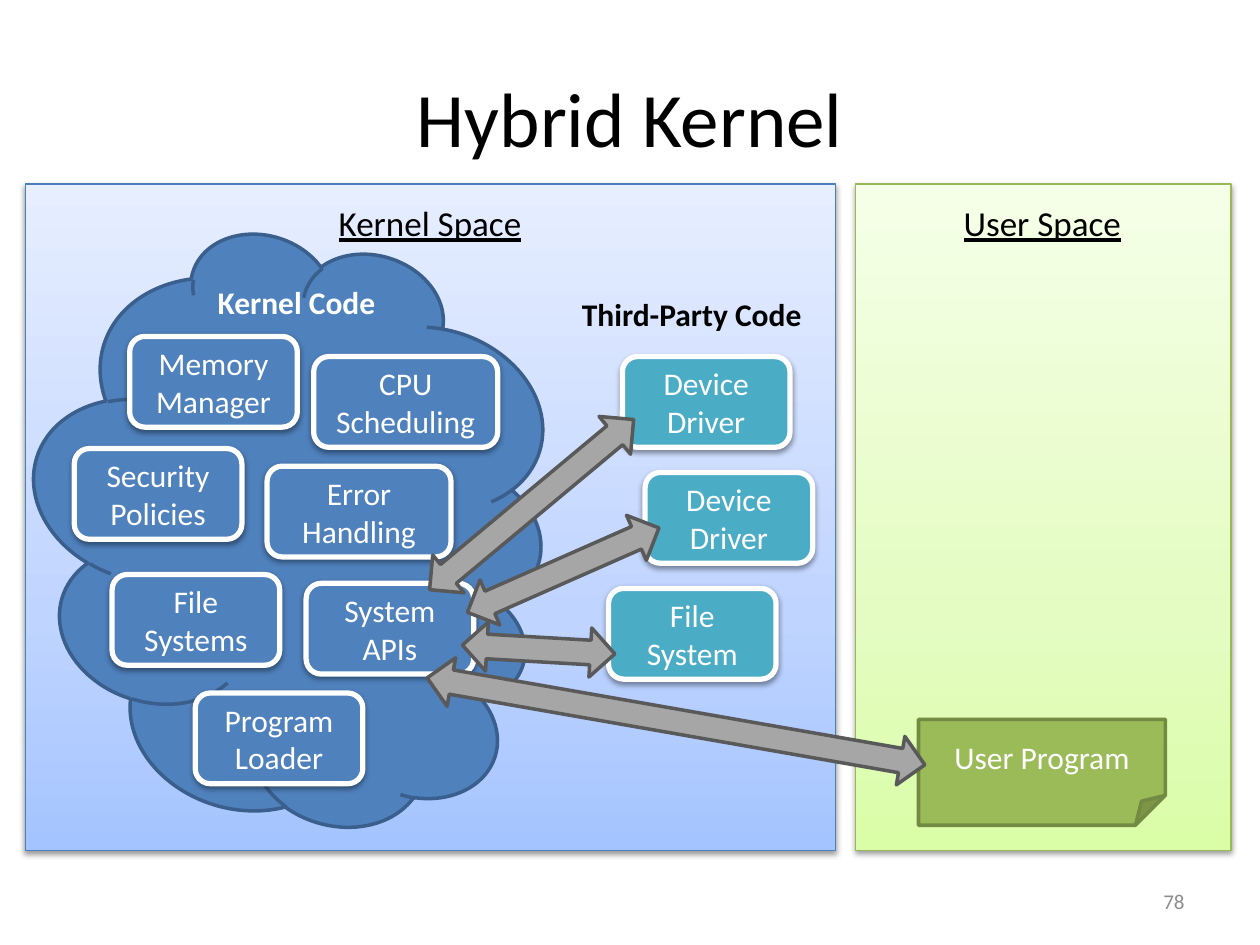
from copy import deepcopy
from dataclasses import dataclass
from math import atan2, degrees, hypot

from lxml import etree
from pptx import Presentation
from pptx.dml.color import RGBColor
from pptx.enum.shapes import MSO_SHAPE
from pptx.enum.text import MSO_ANCHOR, PP_ALIGN
from pptx.oxml.ns import qn
from pptx.util import Inches, Pt

RECT, ROUND = MSO_SHAPE.RECTANGLE, MSO_SHAPE.ROUNDED_RECTANGLE
CLOUD, FOLD = MSO_SHAPE.CLOUD, MSO_SHAPE.FOLDED_CORNER
ARROW = MSO_SHAPE.LEFT_RIGHT_ARROW
TOP, MID = MSO_ANCHOR.TOP, MSO_ANCHOR.MIDDLE
LEFT, CENTER, RIGHT = PP_ALIGN.LEFT, PP_ALIGN.CENTER, PP_ALIGN.RIGHT

FONT = "Calibri"
COLORS = {
    "black": "000000", "white": "FFFFFF", "number": "8C8C8C",
    "kernel": "4F81BD", "cloud_edge": "3A5F8C", "third": "4BACC6",
    "user": "9BBB59", "user_edge": "738A42",
    "arrow": "A6A6A6", "arrow_edge": "595959",
    "blue_edge": "4B7EBC", "green_edge": "98B955",
    "blue_low": "A4C4FF", "blue_mid": "BFD4FF", "blue_high": "E6EEFF",
    "green_low": "DAFDA7", "green_mid": "E4FCC2", "green_high": "F5FFE7",
}

# The slide is a grid of 10 columns by 7.5 rows
prs = Presentation()
prs.slide_width, prs.slide_height = Inches(10), Inches(7.5)
COL, ROW = prs.slide_width / 10, prs.slide_height / 7.5
slide = prs.slides.add_slide(prs.slide_layouts[6])

PANEL_TOP, PANEL_ROWS = 1.46, 5.29
BOX_ROWS, ARROW_ROWS = 0.72, 0.39
SLIM, WIDE = 1.33, 1.46


@dataclass
class Area:
    col: float
    row: float
    cols: float
    rows: float

    def place(self) -> tuple[int, int, int, int]:
        return (round(self.col * COL), round(self.row * ROW),
                round(self.cols * COL), round(self.rows * ROW))


@dataclass
class Box:
    text: str
    col: float
    row: float
    cols: float
    fill: str


@dataclass
class Label:
    text: str
    area: Area
    size: int
    color: str = "black"
    align: PP_ALIGN = LEFT
    bold: bool = False
    under: bool = False


@dataclass
class Link:
    col: float
    row: float
    to_col: float
    to_row: float


def paint(name: str) -> RGBColor:
    return RGBColor.from_string(COLORS[name])


def write(shape, label: Label) -> None:
    frame = shape.text_frame
    frame.word_wrap = label.align != LEFT
    frame.vertical_anchor = TOP if label.align == LEFT else MID
    para = frame.paragraphs[0]
    para.text, para.alignment = label.text, label.align
    font = para.font
    font.name, font.size = FONT, Pt(label.size)
    font.bold, font.underline = label.bold, label.under
    font.color.rgb = paint(label.color)


def draw_shape(kind: MSO_SHAPE, area: Area, fill: str, edge: str, width: float):
    shape = slide.shapes.add_shape(kind, *area.place())
    shape.shadow.inherit = False
    shape.fill.solid()
    shape.fill.fore_color.rgb = paint(fill)
    shape.line.color.rgb = paint(edge)
    shape.line.width = Pt(width)
    return shape


def add_shadow(shape) -> None:
    effects = shape._element.spPr.find(qn("a:effectLst"))
    outer = etree.SubElement(effects, qn("a:outerShdw"), blurRad="40000",
                             dist="20000", dir="5400000", rotWithShape="0")
    color = etree.SubElement(outer, qn("a:srgbClr"), val=COLORS["black"])
    etree.SubElement(color, qn("a:alpha"), val="38000")


def draw_panel(col: float, cols: float, hue: str) -> None:
    area = Area(col, PANEL_TOP, cols, PANEL_ROWS)
    shape = draw_shape(RECT, area, f"{hue}_low", f"{hue}_edge", 0.75)
    add_shadow(shape)
    shape.fill.gradient()
    shape.fill.gradient_angle = 90
    stops = shape._element.spPr.find(qn("a:gradFill")).find(qn("a:gsLst"))
    stops.insert(1, deepcopy(stops[0]))
    tones = zip(shape.fill.gradient_stops, ("low", "mid", "high"), (0, 0.35, 1))
    for stop, tone, place in tones:
        stop.color.rgb = paint(f"{hue}_{tone}")
        stop.position = place


def draw_box(box: Box) -> None:
    area = Area(box.col, box.row, box.cols, BOX_ROWS)
    shape = draw_shape(ROUND, area, box.fill, "white", 3)
    add_shadow(shape)
    write(shape, Label(box.text, area, 18, "white", CENTER))


def draw_link(link: Link) -> None:
    run, rise = link.to_col - link.col, link.to_row - link.row
    span = hypot(run, rise)
    area = Area((link.col + link.to_col - span) / 2,
                (link.row + link.to_row - ARROW_ROWS) / 2, span, ARROW_ROWS)
    shape = draw_shape(ARROW, area, "arrow", "arrow_edge", 2)
    shape.rotation = degrees(atan2(rise, run))


BOXES = [
    Box("Memory Manager", 1.03, 2.67, SLIM, "kernel"),
    Box("CPU Scheduling", 2.49, 2.83, WIDE, "kernel"),
    Box("Program Loader", 1.55, 5.5, SLIM, "kernel"),
    Box("Security Policies", 0.59, 3.56, SLIM, "kernel"),
    Box("Error Handling", 2.12, 3.7, WIDE, "kernel"),
    Box("System APIs", 2.43, 4.63, SLIM, "kernel"),
    Box("File Systems", 0.89, 4.56, SLIM, "kernel"),
    Box("Device Driver", 4.94, 2.83, SLIM, "third"),
    Box("Device Driver", 5.12, 3.75, SLIM, "third"),
    Box("File System", 4.83, 4.67, SLIM, "third"),
]
LABELS = [
    Label("Hybrid Kernel", Area(0.5, 0.3, 9, 1.25), 44, align=CENTER),
    Label("78", Area(7.17, 6.95, 2.33, 0.4), 12, "number", RIGHT),
    Label("User Space", Area(7.55, 1.55, 1.47, 0.44), 20, under=True),
    Label("Kernel Space", Area(2.59, 1.55, 1.67, 0.44), 20, under=True),
    Label("Kernel Code", Area(1.63, 2.2, 1.46, 0.4), 18, "white", bold=True),
    Label("Third-Party Code", Area(4.52, 2.29, 1.96, 0.4), 18, bold=True),
]
LINKS = [Link(3.67, 5.12, 4.88, 5.19), Link(3.71, 4.86, 5.23, 4.19),
         Link(3.41, 4.68, 5.03, 3.33), Link(3.39, 5.38, 7.34, 6.07)]

# Memory spaces and the kernel cloud
draw_panel(6.79, 2.98, "green")
draw_panel(0.2, 6.43, "blue")
cloud = draw_shape(CLOUD, Area(0.04, 2.11, 4.55, 4.17), "kernel", "cloud_edge", 2)
cloud.rotation = 106.9

# Kernel parts, third-party parts and labels
for box in BOXES:
    draw_box(box)
for label in LABELS:
    write(slide.shapes.add_textbox(*label.area.place()), label)

# User program, with a larger fold than the preset
area = Area(7.29, 5.71, 1.96, 0.84)
user = draw_shape(FOLD, area, "user", "user_edge", 2)
guides = user._element.spPr.find(qn("a:prstGeom")).find(qn("a:avLst"))
etree.SubElement(guides, qn("a:gd"), name="adj", fmla="val 28300")
write(user, Label("User Program", area, 18, "white", CENTER))

# Calls through the system APIs
for link in LINKS:
    draw_link(link)

prs.save("out.pptx")
